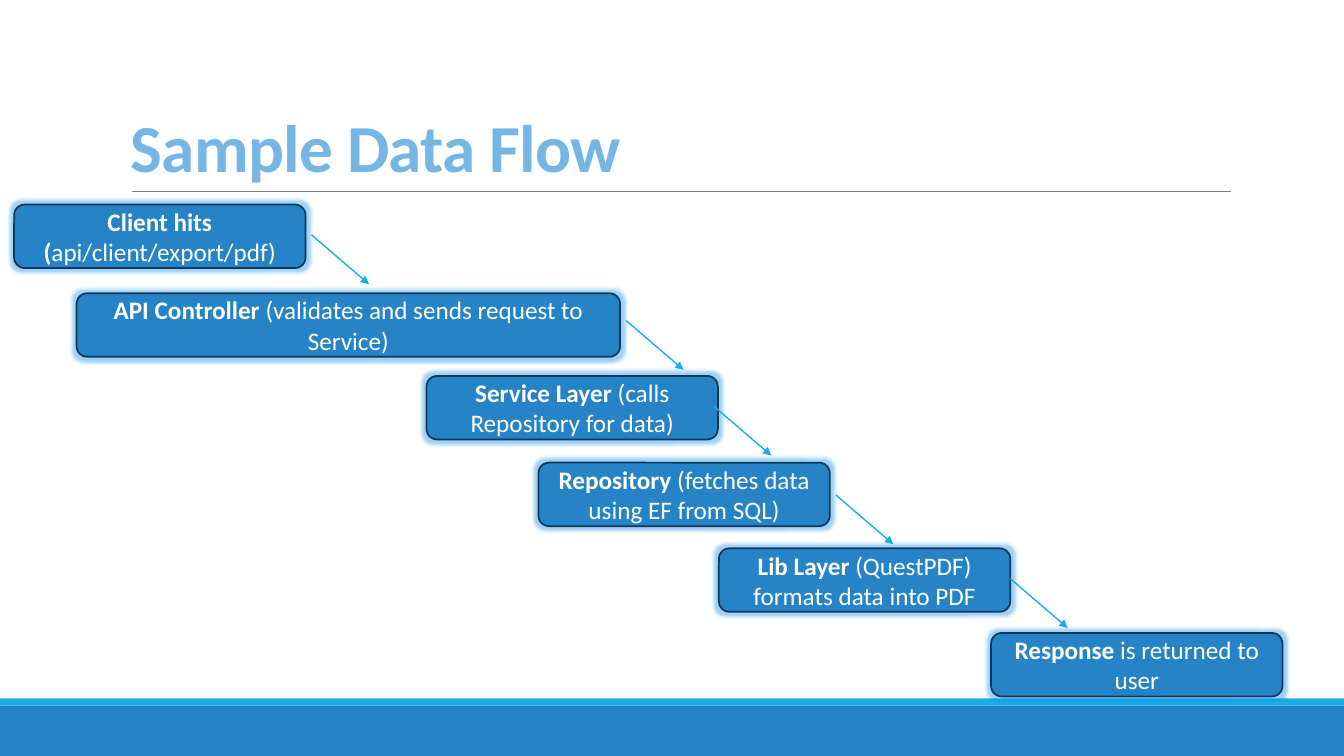
from dataclasses import dataclass

from lxml.etree import SubElement
from pptx import Presentation
from pptx.dml.color import RGBColor
from pptx.enum.shapes import MSO_CONNECTOR, MSO_SHAPE
from pptx.enum.text import MSO_ANCHOR, PP_ALIGN
from pptx.oxml.ns import qn
from pptx.util import Emu, Pt

EMU_PER_PX = 9144  # 100 px to the inch
SLIDE_W, SLIDE_H = 1333, 750
STEP_W, STEP_H = 289, 63
ARROW_W, ARROW_H = 57, 49
BLUE, CYAN, SKY, NAVY = "2683C6", "1CADE4", "75B6E5", "113957"
WHITE, GRAY, GLOW = "FFFFFF", "808080", "0A8BF0"


@dataclass(frozen=True)
class Step:
    left: int
    top: int
    lead: str
    detail: str
    width: int = STEP_W


@dataclass(frozen=True)
class Band:
    top: int
    height: int
    color: str


@dataclass(frozen=True)
class Arrow:
    left: int
    top: int


BANDS = [Band(700, 50, BLUE), Band(693, 7, CYAN)]
STEPS = [
    Step(14, 203, "Client hits (", "api/client/export/pdf)"),
    Step(76, 291, "API Controller", " (validates and sends request to Service)", 539),
    Step(423, 373, "Service Layer", " (calls Repository for data)"),
    Step(534, 459, "Repository", " (fetches data using EF from SQL)"),
    Step(713, 544, "Lib Layer", " (QuestPDF) formats data into PDF"),
    Step(983, 628, "Response", " is returned to user"),
]
ARROWS = [Arrow(309, 233), Arrow(621, 318), Arrow(708, 403),
          Arrow(829, 491), Arrow(1002, 574)]


def px(length: int) -> Emu:
    return Emu(length * EMU_PER_PX)


def rgb(color: str) -> RGBColor:
    return RGBColor.from_string(color)


def add_run(paragraph, text: str, size: int, color: str, bold: bool):
    run = paragraph.add_run()
    run.text = text
    formats = {"name": "Calibri", "size": Pt(size), "bold": bold}
    for attribute, value in formats.items():
        setattr(run.font, attribute, value)
    run.font.color.rgb = rgb(color)
    return run


def add_filled(slide, kind: MSO_SHAPE, left: int, top: int,
               width: int, height: int, color: str):
    shape = slide.shapes.add_shape(kind, px(left), px(top), px(width), px(height))
    shape.shadow.inherit = False
    shape.fill.solid()
    shape.fill.fore_color.rgb = rgb(color)
    return shape


def add_band(slide, band: Band) -> None:
    shape = add_filled(slide, MSO_SHAPE.RECTANGLE, 0, band.top,
                       SLIDE_W, band.height, band.color)
    shape.line.fill.background()


def add_glow(shape) -> None:
    effects = shape.element.spPr.find(qn("a:effectLst"))
    glow = SubElement(effects, qn("a:glow"), rad=str(Pt(5)))
    color = SubElement(glow, qn("a:srgbClr"), val=GLOW)
    SubElement(color, qn("a:alpha"), val="40000")


def add_step(slide, step: Step) -> None:
    box = add_filled(slide, MSO_SHAPE.ROUNDED_RECTANGLE, step.left, step.top,
                     step.width, STEP_H, BLUE)
    box.line.color.rgb = rgb(NAVY)
    box.line.width = Pt(1.25)
    add_glow(box)
    frame = box.text_frame
    frame.word_wrap = True
    frame.vertical_anchor = MSO_ANCHOR.MIDDLE
    paragraph = frame.paragraphs[0]
    paragraph.alignment = PP_ALIGN.CENTER
    add_run(paragraph, step.lead, 18, WHITE, True)
    add_run(paragraph, step.detail, 18, WHITE, False)


def add_line(slide, left: int, top: int, width: int, height: int,
             color: str, weight: float):
    line = slide.shapes.add_connector(
        MSO_CONNECTOR.STRAIGHT, px(left), px(top), px(left + width), px(top + height))
    line.line.color.rgb = rgb(color)
    line.line.width = Pt(weight)
    SubElement(line.element.spPr, qn("a:effectLst"))
    return line


def add_arrow(slide, arrow: Arrow) -> None:
    line = add_line(slide, arrow.left, arrow.top, ARROW_W, ARROW_H, CYAN, 1)
    SubElement(line.line._get_or_add_ln(), qn("a:tailEnd"), type="triangle")


def add_title(slide, text: str) -> None:
    title = slide.shapes.add_textbox(px(120), px(31), px(1100), px(159))
    frame = title.text_frame
    frame.word_wrap = True
    frame.vertical_anchor = MSO_ANCHOR.BOTTOM
    paragraph = frame.paragraphs[0]
    paragraph.line_spacing = 0.85
    run = add_run(paragraph, text, 48, SKY, True)
    run.font._element.set("spc", "-50")


def main() -> None:
    deck = Presentation()
    deck.slide_width, deck.slide_height = px(SLIDE_W), px(SLIDE_H)
    slide = deck.slides.add_slide(deck.slide_layouts[6])
    for band in BANDS:
        add_band(slide, band)
    add_line(slide, 131, 190, 1090, 0, GRAY, 0.5)
    add_title(slide, "Sample Data Flow")
    for step in STEPS:
        add_step(slide, step)
    for arrow in ARROWS:
        add_arrow(slide, arrow)
    deck.save("out.pptx")


if __name__ == "__main__":
    main()
